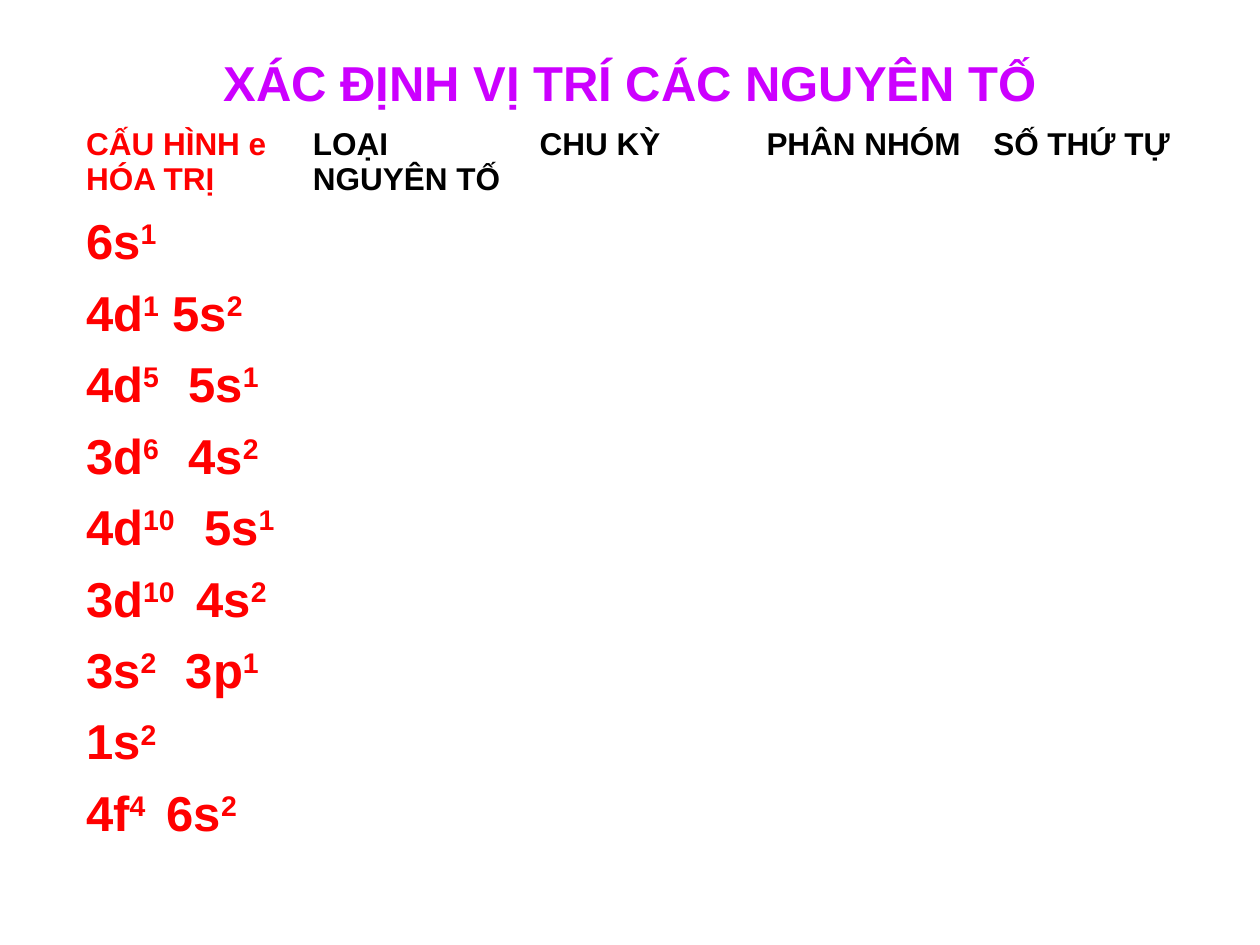
from lxml import etree
from pptx import Presentation
from pptx import util as u
from pptx.dml.color import RGBColor
from pptx.enum import text
from pptx.oxml.ns import qn

Pt = u.Pt
COLORS = {"title": "CC00FF", "key": "FF0000", "header": "000000", "grid": "FFFFFF"}
HEADERS = ["CẤU HÌNH e HÓA TRỊ", "LOẠI NGUYÊN TỐ", "CHU KỲ", "PHÂN NHÓM", "SỐ THỨ TỰ"]
# Each configuration: (subshell, electrons) pairs, and the tab stop of the second pair.
CONFIGURATIONS = [
    ([("6s", "1")], None),
    ([("4d", "1"), (" 5s", "2")], None),
    ([("4d", "5"), ("\t5s", "1")], 58.5),
    ([("3d", "6"), ("\t4s", "2")], 58.5),
    ([("4d", "10"), ("\t5s", "1")], 67.5),
    ([("3d", "10"), ("\t4s", "2")], 63),
    ([("3s", "2"), ("\t3p", "1")], 57),
    ([("1s", "2")], None),
    ([("4f", "4"), ("\t6s", "2")], 46),
]


class Deck:
    def __init__(self, width, height, font="Arial"):
        self.prs = Presentation()
        self.prs.slide_width, self.prs.slide_height = Pt(width), Pt(height)
        self.s = self.prs.slides.add_slide(self.prs.slide_layouts[6])
        self.font = font

    def style(self, p, size, color):
        p.font.name, p.font.size, p.font.bold = self.font, Pt(size), True
        p.font.color.rgb = RGBColor.from_string(COLORS[color])

    def title(self, words, x, y, w, h):
        tf = self.s.shapes.add_textbox(Pt(x), Pt(y), Pt(w), Pt(h)).text_frame
        tf.word_wrap = True
        tf.vertical_anchor = text.MSO_ANCHOR.MIDDLE
        p = tf.paragraphs[0]
        p.text = words
        p.alignment = text.PP_ALIGN.CENTER
        self.style(p, 28, "title")

    def table(self, x, y, col_width, row_heights, cols):
        frame = self.s.shapes.add_table(len(row_heights), cols, Pt(x), Pt(y),
                                        Pt(col_width * cols), Pt(sum(row_heights)))
        table = frame.table
        table.first_row = table.horz_banding = False
        for column in table.columns:
            column.width = Pt(col_width)
        for i, (row, height) in enumerate(zip(table.rows, row_heights)):
            row.height = Pt(height)
            for cell in row.cells:
                self.borders(cell, top=1.5 if i == 1 else 0.45,
                             bottom=1.5 if i == 0 else 0.45)
                cell.fill.background()
        return table

    def borders(self, cell, top, bottom):
        tcPr = cell._tc.get_or_add_tcPr()
        for side, width in (("L", 0.45), ("R", 0.45), ("T", top), ("B", bottom)):
            ln = etree.SubElement(tcPr, qn(f"a:ln{side}"), w=str(Pt(width)))
            fill = etree.SubElement(ln, qn("a:solidFill"))
            etree.SubElement(fill, qn("a:srgbClr"), val=COLORS["grid"])

    def header(self, cell, words, color):
        p = cell.text_frame.paragraphs[0]
        p.text = words
        self.style(p, 18, color)

    def configuration(self, cell, pairs, tab):
        """Write subshells with their electron counts as superscripts."""
        p = cell.text_frame.paragraphs[0]
        if tab:
            tabs = etree.SubElement(p._p.get_or_add_pPr(), qn("a:tabLst"))
            etree.SubElement(tabs, qn("a:tab"), pos=str(Pt(tab)), algn="l")
        self.style(p, 28, "key")
        for subshell, electrons in pairs:
            p.add_run().text = subshell
            r = p.add_run()
            r.text = electrons
            r._r.get_or_add_rPr().set("baseline", "30000")


def main():
    deck = Deck(720, 540)
    deck.title("XÁC ĐỊNH VỊ TRÍ CÁC NGUYÊN TỐ", 36, 2, 648, 90)
    heights = [50.4] + [40.8] * (len(CONFIGURATIONS) - 1) + [93]
    table = deck.table(42, 69, 129.6, heights, len(HEADERS))
    for col, words in enumerate(HEADERS):
        deck.header(table.cell(0, col), words, "header" if col else "key")
    for row, (pairs, tab) in enumerate(CONFIGURATIONS, 1):
        deck.configuration(table.cell(row, 0), pairs, tab)
    deck.prs.save("out.pptx")


if __name__ == "__main__":
    main()
